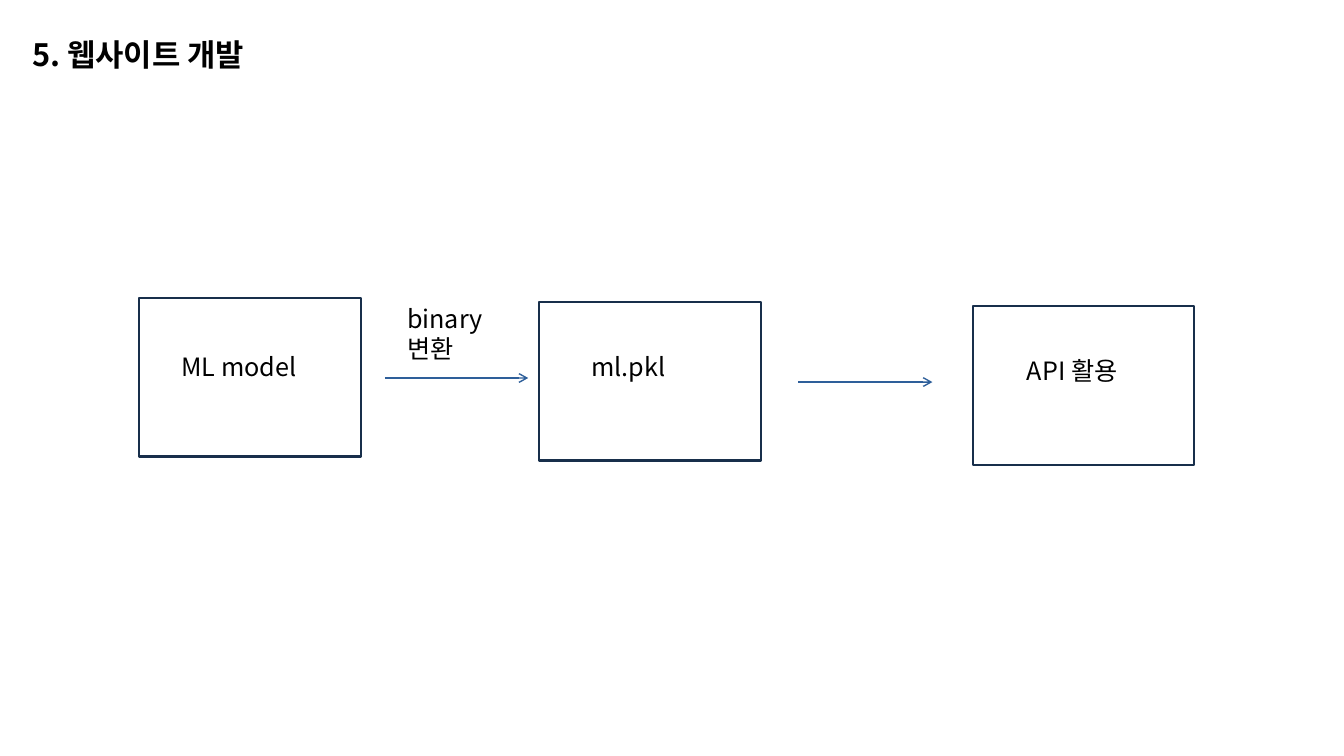
from lxml.etree import SubElement
from pptx import Presentation
from pptx.dml.color import RGBColor
from pptx.enum.shapes import MSO_CONNECTOR, MSO_SHAPE
from pptx.enum.text import MSO_ANCHOR, MSO_AUTO_SIZE, PP_ALIGN
from pptx.oxml.ns import qn
from pptx.util import Pt

BLACK = RGBColor(0x00, 0x00, 0x00)
NAVY = RGBColor(0x18, 0x2F, 0x4B)
BLUE = RGBColor(0x2E, 0x5F, 0x9A)
FONT = "Noto Sans CJK KR"
STEP_WIDTH, STEP_HEIGHT = 158.4, 113


def write(holder, lines, size, bold=False):
    frame = holder.text_frame
    frame.word_wrap = True
    frame.auto_size = MSO_AUTO_SIZE.NONE
    frame.vertical_anchor = MSO_ANCHOR.TOP
    frame.text = "\n".join(lines)
    for paragraph in frame.paragraphs:
        paragraph.alignment = PP_ALIGN.LEFT
        font = paragraph.font
        font.name = FONT
        font.size = Pt(size)
        font.bold = bold
        font.color.rgb = BLACK
        SubElement(font._element, qn("a:ea")).set("typeface", FONT)


def add_title(slide, text):
    title = slide.shapes.title
    title.left, title.top = Pt(15.84), Pt(21.6)
    title.width, title.height = Pt(242.64), Pt(33.12)
    write(title, [text], 22, bold=True)


def add_label(slide, lines, left, top, width, height):
    label = slide.shapes.add_textbox(Pt(left), Pt(top), Pt(width), Pt(height))
    write(label, lines, 18)


def add_step(slide, left, top):
    step = slide.shapes.add_shape(
        MSO_SHAPE.RECTANGLE, Pt(left), Pt(top), Pt(STEP_WIDTH), Pt(STEP_HEIGHT))
    step.shadow.inherit = False
    step.fill.background()
    step.line.color.rgb = NAVY
    step.line.width = Pt(1.5)


def add_arrow(slide, start, end, y):
    arrow = slide.shapes.add_connector(
        MSO_CONNECTOR.STRAIGHT, Pt(start), Pt(y), Pt(end), Pt(y))
    arrow.line.color.rgb = BLUE
    arrow.line.width = Pt(1)
    SubElement(arrow.line._get_or_add_ln(), qn("a:tailEnd")).set("type", "arrow")
    SubElement(arrow._element.spPr, qn("a:effectLst"))


def main():
    deck = Presentation()
    deck.slide_width, deck.slide_height = Pt(960), Pt(540)
    slide = deck.slides.add_slide(deck.slide_layouts[5])
    add_title(slide, "5. 웹사이트 개발")

    for left, top in ((99.4, 213.1), (385.2, 216), (694.8, 218.9)):
        add_step(slide, left, top)
    add_label(slide, ["ML model"], 122.4, 247.7, 118.8, 50.4)
    add_label(slide, ["ml.pkl"], 415.4, 247.7, 128.2, 28.1)
    add_label(slide, ["API 활용"], 726.5, 250.6, 95, 50.4)

    add_label(slide, ["binary", "변환"], 283.7, 213.1, 84.2, 50.4)
    add_arrow(slide, 275, 377.3, 270)
    add_arrow(slide, 570.2, 666, 272.9)

    deck.save("out.pptx")


if __name__ == "__main__":
    main()
